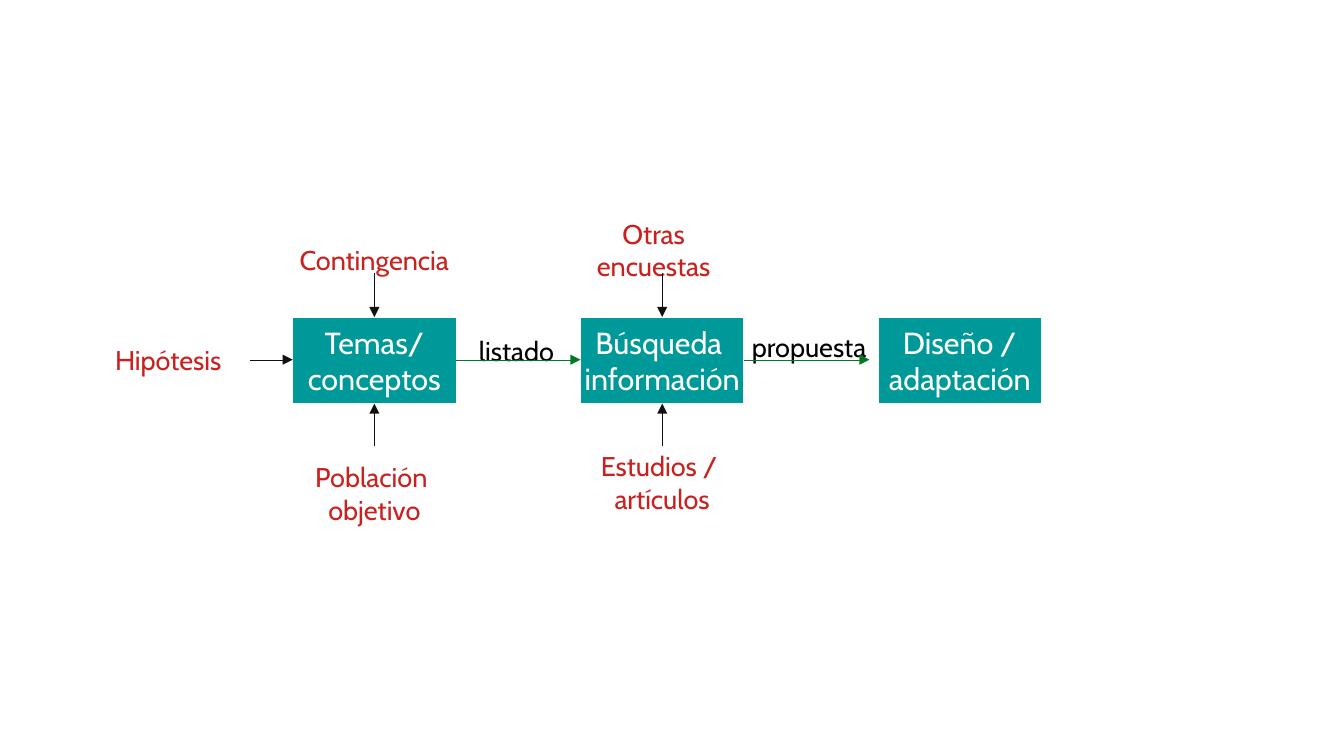
from lxml.etree import SubElement
from pptx import Presentation
from pptx.dml.color import RGBColor
from pptx.enum.shapes import MSO_CONNECTOR, MSO_SHAPE
from pptx.enum.text import MSO_ANCHOR, PP_ALIGN
from pptx.oxml.ns import qn
from pptx.util import Inches, Pt

TEAL, RED, GREEN = "009999", "C9211E", "007826"
WHITE, BLACK, INK = "FFFFFF", "000000", "111111"
BOX_W, BOX_H, BOX_TOP = 1.34, 0.71, 2.6
BOX_BOTTOM, MID_Y = BOX_TOP + BOX_H, 2.95
TOPICS_X, SEARCH_X, DESIGN_X = 2.4, 4.76, 7.2


def rgb(value):
    return RGBColor.from_string(value)


class FlowSlide:
    """Draws the boxes, labels and arrows of a flow diagram on one slide."""

    font = "Cabin"

    def __init__(self, prs):
        self.shapes = prs.slides.add_slide(prs.slide_layouts[6]).shapes

    def hairline(self, sp, color):
        sp.line.color.rgb = rgb(color)
        ln = sp.element.spPr.find(qn("a:ln"))
        ln.set("w", "0")
        return ln

    def block(self, text, x, y, w, h, fill, color, size):
        sp = self.shapes.add_shape(MSO_SHAPE.RECTANGLE, Inches(x), Inches(y), Inches(w), Inches(h))
        sp.shadow.inherit = False
        sp.fill.solid()
        sp.fill.fore_color.rgb = rgb(fill)
        self.hairline(sp, WHITE)
        tf = sp.text_frame
        tf.word_wrap = False
        tf.vertical_anchor = MSO_ANCHOR.MIDDLE
        tf.text = text
        for p in tf.paragraphs:
            p.alignment = PP_ALIGN.CENTER
            for r in p.runs:
                r.font.name = self.font
                r.font.size = Pt(size)
                r.font.color.rgb = rgb(color)

    def step(self, text, x):
        self.block(text, x, BOX_TOP, BOX_W, BOX_H, TEAL, WHITE, 18)

    def label(self, text, x, y, w=BOX_W, h=0.24, color=RED):
        self.block(text, x, y, w, h, WHITE, color, 16)

    def arrow(self, x1, y1, x2, y2, color=INK):
        cn = self.shapes.add_connector(
            MSO_CONNECTOR.STRAIGHT, Inches(x1), Inches(y1), Inches(x2), Inches(y2))
        ln = self.hairline(cn, color)
        SubElement(ln, qn("a:tailEnd"), type="triangle")
        SubElement(cn.element.spPr, qn("a:effectLst"))


def main():
    prs = Presentation()
    prs.slide_width, prs.slide_height = Inches(11.02), Inches(6.2)
    s = FlowSlide(prs)

    for text, x in (("Temas/\nconceptos", TOPICS_X),
                    ("Búsqueda \ninformación", SEARCH_X),
                    ("Diseño /\nadaptación", DESIGN_X)):
        s.step(text, x)

    s.label("Hipótesis", 0.71, 2.83)
    s.label("Contingencia", TOPICS_X, 2.01)
    s.label("Población \nobjetivo", TOPICS_X, 3.75, h=0.59)
    s.label("Otras\nencuestas", 4.69, 1.93)
    s.label("Estudios / \nartículos", SEARCH_X, 3.66, h=0.59)
    s.label("listado", 3.82, 2.76, w=0.83, color=BLACK)
    s.label("propuesta", 6.22, 2.72, w=0.83, color=BLACK)

    for x in (TOPICS_X, SEARCH_X):
        center = x + BOX_W / 2
        s.arrow(center, 2.24, center, BOX_TOP)
        s.arrow(center, 3.66, center, BOX_BOTTOM)
    s.arrow(2.05, MID_Y, TOPICS_X, MID_Y)
    s.arrow(TOPICS_X + BOX_W, MID_Y, SEARCH_X, MID_Y, GREEN)
    s.arrow(SEARCH_X + BOX_W, MID_Y, 7.13, MID_Y, GREEN)

    prs.save("out.pptx")


if __name__ == "__main__":
    main()
